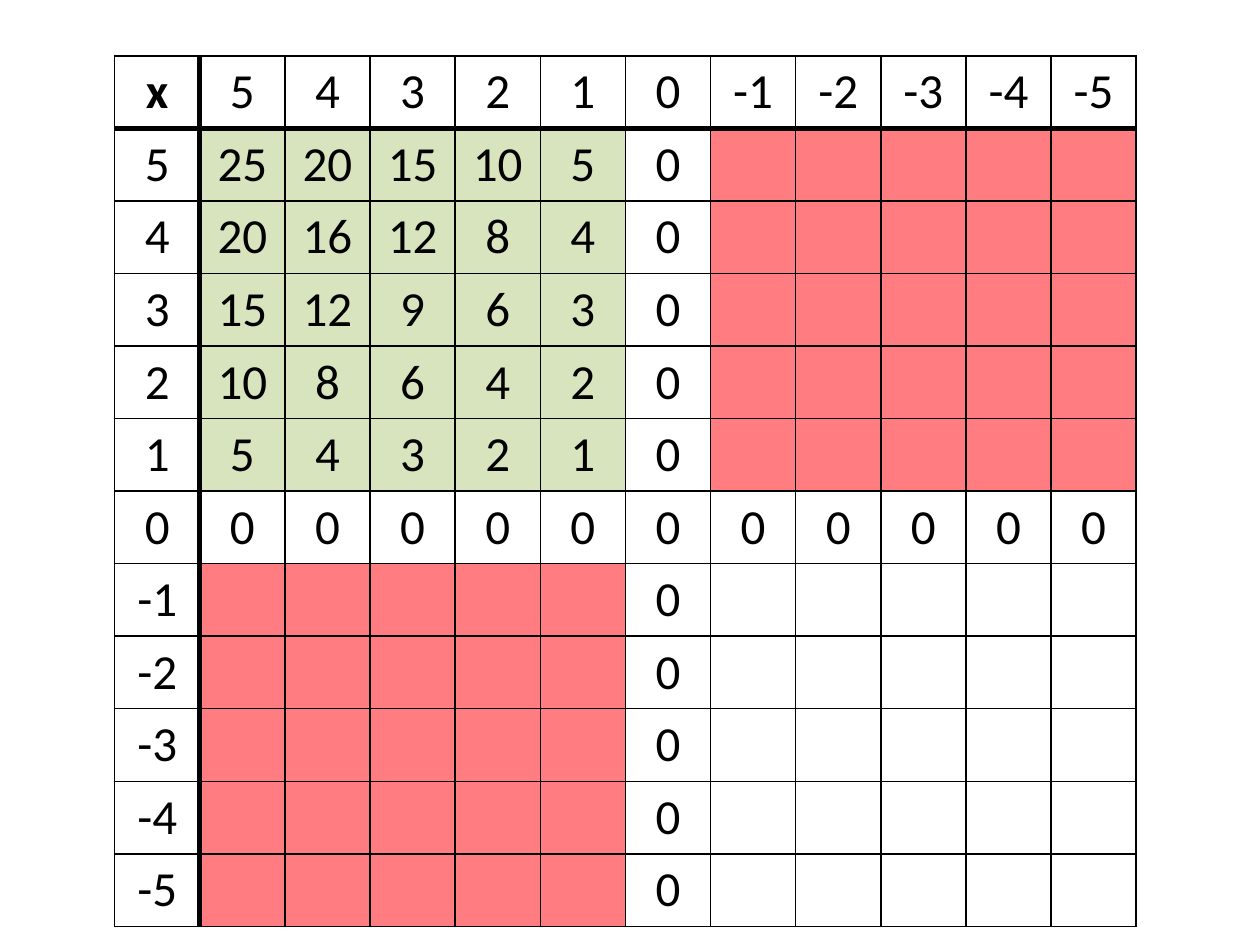
from dataclasses import dataclass

from lxml import etree
from pptx import Presentation
from pptx.dml.color import RGBColor as Rgb
from pptx.enum import text
from pptx.oxml import ns
from pptx.util import Pt


@dataclass(frozen=True)
class Theme:
    font: str = "Calibri"
    size: float = 28
    ink: str = "000000"
    green: str = "D7E4BD"
    red: str = "FF7C80"
    thin: float = 1
    thick: float = 3


THEME = Theme()
FACTORS = range(5, -6, -1)


def border(cell, **widths):
    """Draw cell sides; keys L, R, T, B give widths in points."""
    props = cell._tc.get_or_add_tcPr()
    for side in "LRTB":
        line = etree.SubElement(props, ns.qn(f"a:ln{side}"), w=str(Pt(widths[side])))
        fill = etree.SubElement(line, ns.qn("a:solidFill"))
        etree.SubElement(fill, ns.qn("a:srgbClr"), val=THEME.ink)


def write(cell, value, bold=False):
    para = cell.text_frame.paragraphs[0]
    para.text = str(value)
    para.alignment = text.PP_ALIGN.CENTER
    font = para.font
    font.name, font.size, font.bold = THEME.font, Pt(THEME.size), bold
    font.color.rgb = Rgb.from_string(THEME.ink)


def paint(cell, color):
    if color:
        cell.fill.solid()
        cell.fill.fore_color.rgb = Rgb.from_string(color)
    else:
        cell.fill.background()


def content(row, col):
    """Return the value (None if left to solve) and fill of a cell."""
    if row == 0 and col == 0:
        return "x", None
    if row == 0 or col == 0:
        return FACTORS[row + col - 1], None
    left, top = FACTORS[row - 1], FACTORS[col - 1]
    product = left * top
    if product < 0:
        return None, THEME.red
    if product == 0:
        return 0, None
    return (product, THEME.green) if left > 0 else (None, None)


def times_table(slide, x, y, width, height):
    count = len(FACTORS) + 1
    frame = slide.shapes.add_table(count, count, Pt(x), Pt(y), Pt(width), Pt(height))
    table = frame.table
    table.first_row = table.horz_banding = False
    thin, thick = THEME.thin, THEME.thick
    for row in range(count):
        for col in range(count):
            cell = table.cell(row, col)
            border(
                cell,
                L=thick if col == 1 else thin,
                R=thick if col == 0 else thin,
                T=thick if row == 1 else thin,
                B=thick if row == 0 else thin,
            )
            value, color = content(row, col)
            paint(cell, color)
            if value is not None:
                write(cell, value, bold=row == col == 0)


def main():
    deck = Presentation()
    deck.slide_width, deck.slide_height = Pt(720), Pt(540)
    slide = deck.slides.add_slide(deck.slide_layouts[6])
    times_table(slide, 65.5, 32, 584, 489.6)
    deck.save("out.pptx")


if __name__ == "__main__":
    main()
